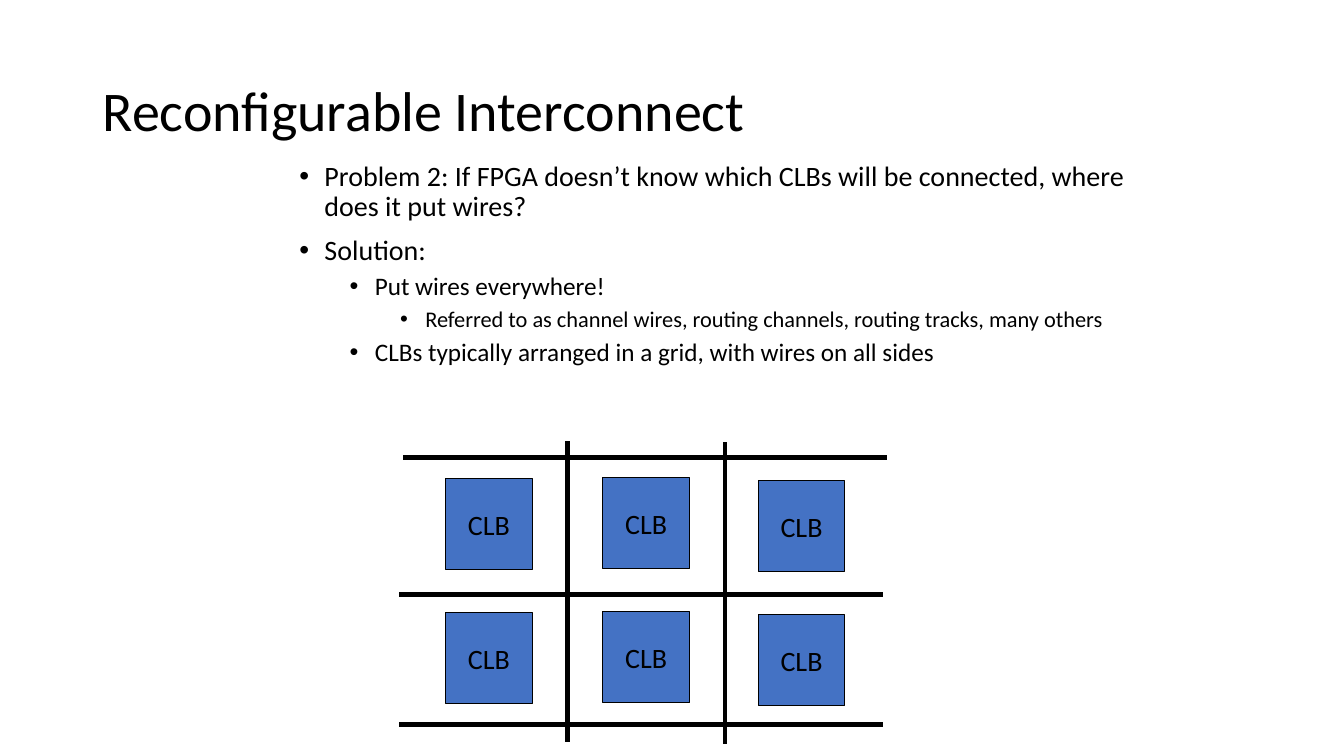
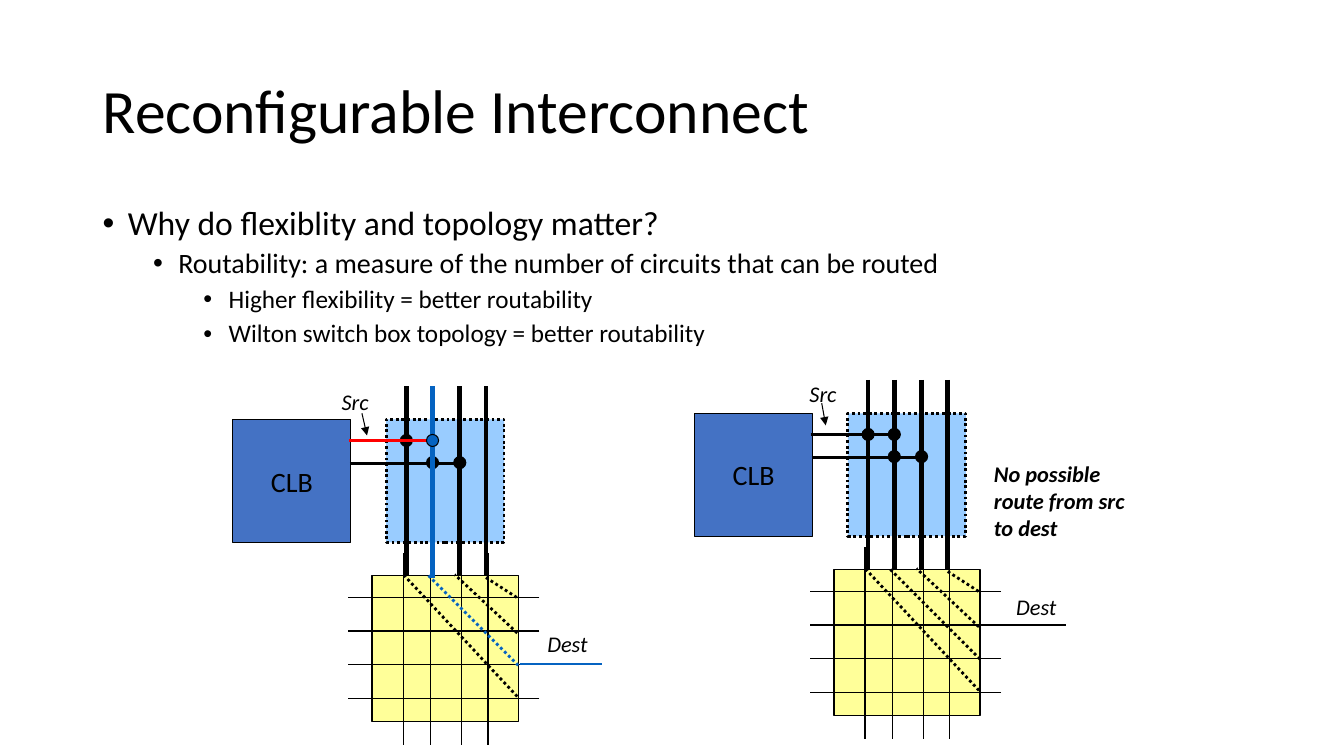
"""Build two slides on the reconfigurable interconnect of an FPGA."""
import pptx
import pptx.dml.color
import pptx.enum.dml
import pptx.enum.shapes
import pptx.enum.text
import pptx.oxml.ns
import pptx.util
from lxml import etree

PX = 9144
FONT = "Calibri"
BLACK, RED, BLUE = "000000", "FF0000", "0563C1"
CLB_FILL, CONNECTION_FILL, SWITCH_FILL = "4472C4", "99CCFF", "FFFF99"
RECTANGLE = pptx.enum.shapes.MSO_SHAPE.RECTANGLE
OVAL = pptx.enum.shapes.MSO_SHAPE.OVAL
MIDDLE = pptx.enum.text.MSO_ANCHOR.MIDDLE
CENTER = pptx.enum.text.PP_ALIGN.CENTER
DOTTED = pptx.enum.dml.MSO_LINE.ROUND_DOT

TITLE = "Reconfigurable Interconnect"
TITLE_FRAME = (92, 40, 1150, 145)

GRID_BODY_FRAME = (287, 156, 850, 512)
GRID_BODY = [
    (0, 20, "Problem 2: If FPGA doesn’t know which CLBs will be connected, where does it put wires?"),
    (0, 20, "Solution:"),
    (1, 18, "Put wires everywhere!"),
    (2, 16, "Referred to as channel wires, routing channels, routing tracks, many others"),
    (1, 18, "CLBs typically arranged in a grid, with wires on all sides"),
]
CLB_COLUMNS = [(442, 475), (598, 474), (752, 477)]
CLB_ROWS, CLB_PITCH, CLB_SIZE = 2, 133, (86, 90)
CHANNEL_WIRES = [
    (400, 454, 880, 454), (396, 590, 876, 590), (396, 719, 876, 719),
    (563, 438, 563, 736), (719, 439, 719, 738),
]

ROUTING_BODY_FRAME = (92, 200, 1150, 476)
ROUTING_BODY = [
    (0, 24, "Why do flexiblity and topology matter?"),
    (1, 20, "Routability: a measure of the number of circuits that can be routed"),
    (2, 18, "Higher flexibility = better routability"),
    (2, 18, "Wilton switch box topology = better routability"),
]
TRACKS = [403, 429, 456, 482]
PINS = [(346, 437, 427, 437), (347, 460, 457, 460)]
JUNCTIONS = [(403, 437), (429, 437), (429, 459), (456, 459)]
JUNCTION_SIZE = 12
SWITCH_COLUMNS = [400, 427, 458, 484]
SWITCH_ROWS = [593, 626, 659, 693]
SWITCHES = [
    (514, 660, 425, 571), (513, 628, 451, 570),
    (482, 573, 513, 593), (513, 691, 401, 571),
]
CIRCUITS = [
    {"shift": (0, 0), "dest": (516, 659, 597, 659),
     "labels": [("Src", (329, 380, 138, 37)), ("Dest", (533, 620, 138, 37))],
     "arrow": (359, 410, 364, 432),
     "route": {("track", 1): BLUE, ("pin", 0): RED, ("junction", 1): BLUE,
               ("switch", 0): BLUE, ("dest", 0): BLUE}},
    {"shift": (458, -6), "dest": (976, 620, 1057, 620),
     "labels": [("Src", (793, 372, 59, 37)), ("Dest", (998, 584, 138, 37))],
     "arrow": (815, 400, 819, 422),
     "route": {}},
]
VERDICT = ("No possible route from src to dest", (976, 452, 168, 90))


def emu(lengths):
    return [round(length * PX) for length in lengths]


def color(value):
    return pptx.dml.color.RGBColor.from_string(value)


def add_child(parent, tag, **attributes):
    return etree.SubElement(parent, pptx.oxml.ns.qn(tag), attributes)


def write(box, lines, anchor=None, align=None, wrap=True, spacing=None,
          bullets=False, bold=False, italic=False):
    """Fill a box with (level, size, text) lines."""
    frame = box.text_frame
    frame.word_wrap = wrap
    if anchor is not None:
        frame.vertical_anchor = anchor
    for index, (level, size, text) in enumerate(lines):
        para = frame.add_paragraph() if index else frame.paragraphs[0]
        if bullets:
            properties = para._p.get_or_add_pPr()
            properties.set("marL", str((25 + 50 * level) * PX))
            properties.set("indent", str(-25 * PX))
            add_child(properties, "a:buFont", typeface="Arial")
            add_child(properties, "a:buChar", char="•")
            para.level = level
            if index:
                para.space_before = pptx.util.Pt(5 if level else 10)
        if spacing:
            para.line_spacing = spacing
        if align is not None:
            para.alignment = align
        span = para.add_run()
        span.text = text
        span.font.name = FONT
        span.font.size = pptx.util.Pt(size)
        span.font.bold = bold
        span.font.italic = italic
        span.font.color.rgb = color(BLACK)


def add_text(page, frame, lines, **style):
    write(page.shapes.add_textbox(*emu(frame)), lines, **style)


def set_line(line, ink, weight, dash):
    line.color.rgb = color(ink)
    line.width = pptx.util.Pt(weight)
    if dash is not None:
        line.dash_style = dash


def add_wire(page, ends, ink=BLACK, weight=1, dash=None, arrow=False):
    kind = pptx.enum.shapes.MSO_CONNECTOR.STRAIGHT
    wire = page.shapes.add_connector(kind, *emu(ends))
    set_line(wire.line, ink, weight, dash)
    if arrow:
        add_child(wire.line._get_or_add_ln(), "a:tailEnd", type="triangle")
    add_child(wire._element.spPr, "a:effectLst")


def add_block(page, frame, fill, shape=RECTANGLE, weight=0.75, dash=None):
    block = page.shapes.add_shape(shape, *emu(frame))
    block.shadow.inherit = False
    block.fill.solid()
    block.fill.fore_color.rgb = color(fill)
    set_line(block.line, BLACK, weight, dash)
    return block


def add_clb(page, frame):
    write(add_block(page, frame, CLB_FILL), [(0, 20, "CLB")],
          anchor=MIDDLE, align=CENTER, wrap=False)


def add_page(deck, title_size, body_frame, body):
    page = deck.slides.add_slide(deck.slide_layouts[6])
    add_text(page, TITLE_FRAME, [(0, title_size, TITLE)], anchor=MIDDLE, spacing=0.9)
    add_text(page, body_frame, body, spacing=0.9, bullets=True)
    return page


def add_circuit(page, circuit):
    """Draw a CLB, its connection box and its switch box, with the route on top."""
    right, down = circuit["shift"]
    route = circuit["route"]

    def frame(left, top, width, height):
        return left + right, top + down, width, height

    def ends(x1, y1, x2, y2):
        return x1 + right, y1 + down, x2 + right, y2 + down

    def wires(name, lines, **style):
        for index, line in enumerate(lines):
            ink = route.get((name, index), BLACK)
            yield name, index, add_wire, ends(*line), {"ink": ink, **style}

    def junctions():
        for index, (x, y) in enumerate(JUNCTIONS):
            half = JUNCTION_SIZE // 2
            dot = frame(x - half, y - half, JUNCTION_SIZE, JUNCTION_SIZE)
            fill = route.get(("junction", index), BLACK)
            yield "junction", index, add_block, dot, {"fill": fill, "shape": OVAL}

    add_clb(page, frame(231, 416, 117, 122))
    add_block(page, frame(383, 416, 117, 122), CONNECTION_FILL, weight=2, dash=DOTTED)
    parts = [
        *wires("track", [(x, 383, x, 573) for x in TRACKS], weight=3.25),
        *wires("pin", PINS, weight=1.75),
        *junctions(),
        ("box", 0, add_block, frame(369, 571, 145, 145), {"fill": SWITCH_FILL, "weight": 1}),
        *wires("column", [(x, 549, x, 739) for x in SWITCH_COLUMNS]),
        *wires("row", [(535, y, 345, y) for y in SWITCH_ROWS]),
        *wires("switch", SWITCHES, weight=2, dash=DOTTED),
    ]
    dest_ink = route.get(("dest", 0), BLACK)
    parts.append(("dest", 0, add_wire, circuit["dest"], {"ink": dest_ink, "weight": 1.75}))
    for name, index, draw, place, style in sorted(parts, key=lambda part: part[:2] in route):
        draw(page, place, **style)
    for text, place in circuit["labels"]:
        add_text(page, place, [(0, 16, text)], italic=True)
    add_wire(page, circuit["arrow"], weight=0.75, arrow=True)


def main():
    deck = pptx.Presentation()
    deck.slide_width, deck.slide_height = emu((1333, 750))

    page = add_page(deck, 40, GRID_BODY_FRAME, GRID_BODY)
    for row in range(CLB_ROWS):
        for left, top in CLB_COLUMNS:
            add_clb(page, (left, top + row * CLB_PITCH, *CLB_SIZE))
    for ends in CHANNEL_WIRES:
        add_wire(page, ends, weight=3.25)

    page = add_page(deck, 44, ROUTING_BODY_FRAME, ROUTING_BODY)
    for circuit in CIRCUITS:
        add_circuit(page, circuit)
    text, place = VERDICT
    add_text(page, place, [(0, 16, text)], bold=True, italic=True)

    deck.save("out.pptx")


if __name__ == "__main__":
    main()
